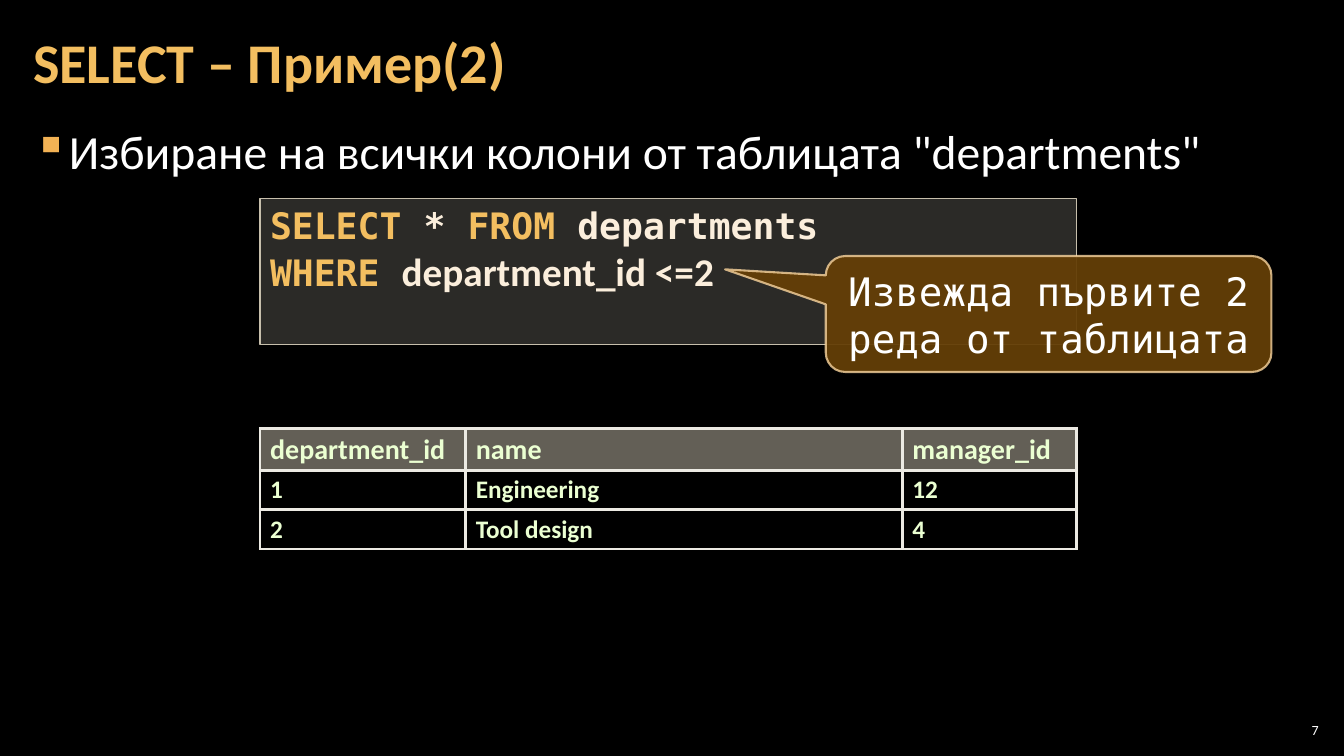
from lxml import etree
from pptx import Presentation
from pptx.dml.color import RGBColor
from pptx.enum.shapes import MSO_SHAPE
from pptx.enum.text import MSO_ANCHOR, PP_ALIGN
from pptx.oxml.ns import qn
from pptx.util import Inches, Pt

LEFT, CENTER, RIGHT = PP_ALIGN.LEFT, PP_ALIGN.CENTER, PP_ALIGN.RIGHT
TOP, MIDDLE = MSO_ANCHOR.TOP, MSO_ANCHOR.MIDDLE
RECT, CALLOUT = MSO_SHAPE.RECTANGLE, MSO_SHAPE.ROUNDED_RECTANGULAR_CALLOUT
SANS, MONO = "Calibri", "DejaVu Sans Mono"
COLORS = {
    "background": "000000", "white": "FFFFFF", "bullet": "F2B254",
    "gold": "F3BE60", "cream": "FBEEDC", "code_fill": "D9D5C7",
    "stone": "C7BFAC", "border": "ECEAE3", "cell": "EBFFD2",
    "callout": "643F07", "callout_line": "F8D49E",
}


def rgb(name):
    return RGBColor.from_string(COLORS[name])


def set_alpha(element, percent):
    color = next(element.iter(qn("a:srgbClr")))
    etree.SubElement(color, qn("a:alpha"), val=str(percent * 1000))


def add_run(p, text, size, color, font=SANS, bold=False):
    r = p.add_run()
    r.text = text
    r.font.name, r.font.size, r.font.bold = font, Pt(size), bold
    r.font.color.rgb = rgb(color)


def format_frame(tf, anchor=TOP, side=0.1, edge=0.05):
    tf.word_wrap = True
    tf.vertical_anchor = anchor
    tf.margin_left = tf.margin_right = Inches(side)
    tf.margin_top = tf.margin_bottom = Inches(edge)
    return tf


def set_title(slide, text):
    sp = slide.shapes.title
    sp.left, sp.top = Inches(0.21), Inches(0.04)
    sp.width, sp.height = Inches(10.47), Inches(1.21)
    p = format_frame(sp.text_frame, MIDDLE, 0.12, 0.04).paragraphs[0]
    p.alignment, p.line_spacing = LEFT, 0.9
    add_run(p, text, 40, "gold", bold=True)


def add_text(slide, box, anchor, side):
    sp = slide.shapes.add_textbox(*map(Inches, box))
    return format_frame(sp.text_frame, anchor, side, 0.04).paragraphs[0]


def add_bullet(p):
    pPr = p._p.get_or_add_pPr()
    pPr.set("marL", str(Inches(0.33)))
    pPr.set("indent", str(-Inches(0.33)))
    color = etree.SubElement(pPr, qn("a:buClr"))
    etree.SubElement(color, qn("a:srgbClr"), val=COLORS["bullet"])
    etree.SubElement(pPr, qn("a:buChar"), char="▪")


def add_panel(slide, preset, box, fill, fill_alpha, line, line_width):
    sp = slide.shapes.add_shape(preset, *map(Inches, box))
    sp.shadow.inherit = False
    sp.fill.solid()
    sp.fill.fore_color.rgb = rgb(fill)
    set_alpha(sp._element.spPr.find(qn("a:solidFill")), fill_alpha)
    sp.line.color.rgb = rgb(line)
    sp.line.width = Pt(line_width)
    return sp


def add_code(slide, box, lines):
    sp = add_panel(slide, RECT, box, "code_fill", 20, "stone", 1)
    tf = format_frame(sp.text_frame)
    for i, runs in enumerate(lines):
        p = tf.add_paragraph() if i else tf.paragraphs[0]
        p.alignment = LEFT
        for text, color, size, font in runs:
            add_run(p, text, size, color, font, bold=True)


def add_callout(slide, box, text):
    sp = add_panel(slide, CALLOUT, box, "callout", 95, "callout_line", 1.5)
    set_alpha(sp._element.spPr.find(qn("a:ln")), 80)
    for i, value in enumerate((-0.726, -0.385, 0.167)):
        sp.adjustments[i] = value
    p = format_frame(sp.text_frame, MIDDLE).paragraphs[0]
    p.alignment = CENTER
    add_run(p, text, 28, "white", MONO)


def set_borders(cell):
    tcPr = cell._tc.get_or_add_tcPr()
    for side in ("lnL", "lnR", "lnT", "lnB"):
        ln = etree.SubElement(tcPr, qn("a:" + side), w=str(Pt(2.25)))
        fill = etree.SubElement(ln, qn("a:solidFill"))
        etree.SubElement(fill, qn("a:srgbClr"), val=COLORS["border"])


def add_result_table(slide, box, widths, heights, rows):
    frame = slide.shapes.add_table(len(rows), len(widths), *map(Inches, box))
    table = frame.table
    table.first_row = table.horz_banding = False
    for column, width in zip(table.columns, widths):
        column.width = Inches(width)
    for i, values in enumerate(rows):
        table.rows[i].height = Inches(heights[i])
        for j, value in enumerate(values):
            cell = table.cell(i, j)
            set_borders(cell)
            if i == 0:
                cell.fill.solid()
                cell.fill.fore_color.rgb = rgb("stone")
                set_alpha(cell._tc.tcPr.find(qn("a:solidFill")), 50)
            else:
                cell.fill.background()
            p = cell.text_frame.paragraphs[0]
            p.line_spacing = 0.95
            add_run(p, value, 18 if i else 20, "cell", bold=True)


def main():
    prs = Presentation()
    prs.slide_width, prs.slide_height = Inches(13.33), Inches(7.5)
    slide = prs.slides.add_slide(prs.slide_layouts[5])
    slide.background.fill.solid()
    slide.background.fill.fore_color.rgb = rgb("background")

    # Title and statement
    set_title(slide, "SELECT – Пример(2)")
    p = add_text(slide, (0.21, 1.17, 12.91, 0.75), TOP, 0.12)
    p.space_after = Pt(6)
    add_bullet(p)
    add_run(p, 'Избиране на всички колони от таблицата "departments"',
            34, "white")

    # Query
    add_code(slide, (2.58, 1.97, 8.1, 1.45), [
        [("SELECT", "gold", 26, MONO), (" * ", "cream", 26, MONO),
         ("FROM ", "gold", 26, MONO), ("departments", "cream", 26, MONO)],
        [("WHERE ", "gold", 26, MONO),
         ("department_id <=2", "cream", 28, SANS)],
    ])

    # Query result
    add_result_table(
        slide, (2.58, 4.25, 8.1, 1.19), (2.04, 4.33, 1.73),
        (0.41, 0.39, 0.39),
        [("department_id", "name", "manager_id"),
         ("1", "Engineering", "12"),
         ("2", "Tool design", "4")])

    # Slide number
    p = add_text(slide, (12.65, 7.14, 0.47, 0.21), MIDDLE, 0.04)
    p.alignment = RIGHT
    add_run(p, "7", 10, "white")

    # Explanation
    add_callout(slide, (8.19, 2.54, 4.42, 1.15),
                "Извежда първите 2 реда от таблицата")
    prs.save("out.pptx")


if __name__ == "__main__":
    main()
